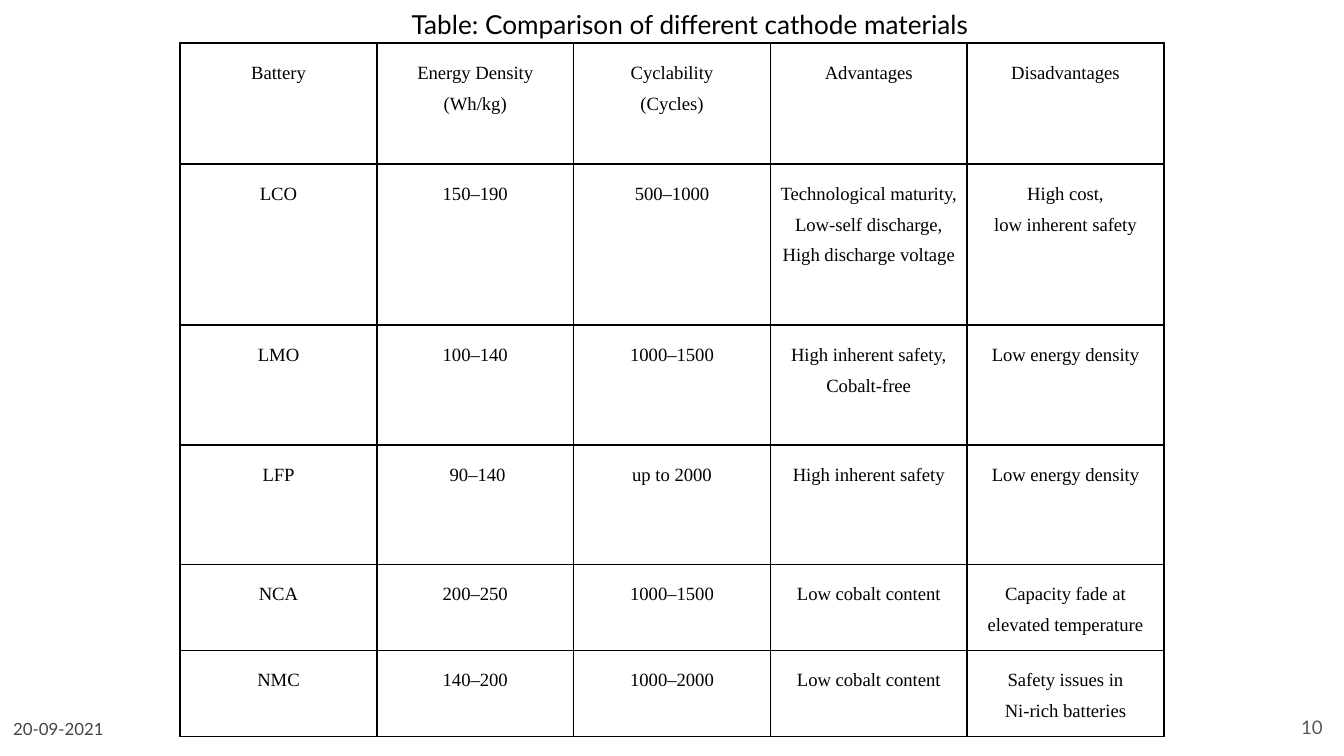
from lxml.etree import SubElement
from pptx import Presentation
from pptx.dml.color import RGBColor as RGB
from pptx.enum.text import MSO_ANCHOR as Anchor, MSO_AUTO_SIZE as AutoSize, PP_ALIGN as Align
from pptx.oxml.ns import qn
from pptx.util import Inches, Pt

W = 10
H = W * 9 / 16
COLORS = {"ink": "000000", "number": "595959", "date": "434343"}
TABLE_LEFT, TABLE_TOP, TABLE_WIDTH = 1.34, 0.32, 7.32
ROW_HEIGHTS = [0.9, 1.2, 0.89, 0.89, 0.64, 0.64]
CELL_INSET = 0.07
CATHODES = [
    ["Battery", "Energy Density\n(Wh/kg)", "Cyclability\n(Cycles)", "Advantages", "Disadvantages"],
    ["LCO", "150–190", "500–1000",
     "Technological maturity,\nLow-self discharge,\nHigh discharge voltage",
     "High cost,\nlow inherent safety"],
    ["LMO", "100–140", "1000–1500", "High inherent safety,\nCobalt-free", "Low energy density"],
    ["LFP", " 90–140", "up to 2000", "High inherent safety", "Low energy density"],
    ["NCA", "200–250", "1000–1500", "Low cobalt content", "Capacity fade at\nelevated temperature"],
    ["NMC", "140–200", "1000–2000", "Low cobalt content", "Safety issues in\nNi-rich batteries"],
]


def style_text(tf, font, size, color, align, spacing=None):
    for p in tf.paragraphs:
        p.alignment = align
        p.line_spacing = spacing
        for r in p.runs:
            r.font.name = font
            r.font.size = Pt(size)
            r.font.color.rgb = RGB.from_string(COLORS[color])


def add_label(s, text, box, size, color, align, anchor=Anchor.TOP, auto_size=AutoSize.NONE):
    tf = s.shapes.add_textbox(*map(Inches, box)).text_frame
    tf.word_wrap = True
    tf.auto_size = auto_size
    tf.vertical_anchor = anchor
    tf.margin_left = tf.margin_right = tf.margin_top = tf.margin_bottom = Inches(0.1)
    tf.text = text
    style_text(tf, "Lato", size, color, align)


def add_borders(cell, color, width):
    tc_pr = cell._tc.get_or_add_tcPr()
    for i, side in enumerate(("lnL", "lnR", "lnT", "lnB")):
        ln = tc_pr.makeelement(qn(f"a:{side}"), {"w": str(Pt(width))})
        fill = SubElement(ln, qn("a:solidFill"))
        SubElement(fill, qn("a:srgbClr"), val=COLORS[color])
        tc_pr.insert(i, ln)


def fill_cell(cell, text):
    cell.text = text
    cell.fill.background()
    cell.margin_left = cell.margin_right = Inches(CELL_INSET)
    cell.margin_top = cell.margin_bottom = Inches(CELL_INSET)
    style_text(cell.text_frame, "Times New Roman", 10, "ink", Align.CENTER, 1.5)
    add_borders(cell, "ink", 1)


def add_comparison_table(s, rows):
    box = (TABLE_LEFT, TABLE_TOP, TABLE_WIDTH, sum(ROW_HEIGHTS))
    table = s.shapes.add_table(len(rows), len(rows[0]), *map(Inches, box)).table
    table.first_row = table.horz_banding = False
    for column in table.columns:
        column.width = Inches(TABLE_WIDTH / len(rows[0]))
    for row, height, texts in zip(table.rows, ROW_HEIGHTS, rows):
        row.height = Inches(height)
        for cell, text in zip(row.cells, texts):
            fill_cell(cell, text)


def main():
    prs = Presentation()
    prs.slide_width, prs.slide_height = Inches(W), Inches(H)
    s = prs.slides.add_slide(prs.slide_layouts[6])
    add_comparison_table(s, CATHODES)
    add_label(s, "Table: Comparison of different cathode materials",
              (1.63, -0.04, 7.01, 0.44), 14, "ink", Align.CENTER,
              auto_size=AutoSize.SHAPE_TO_FIT_TEXT)
    add_label(s, "10", (9.34, H - 0.43, 0.6, 0.43), 10, "number", Align.RIGHT, Anchor.MIDDLE)
    add_label(s, "20-09-2021", (0, H - 0.35, 1.64, 0.35), 9, "date", Align.LEFT,
              auto_size=AutoSize.SHAPE_TO_FIT_TEXT)
    prs.save("out.pptx")


if __name__ == "__main__":
    main()
